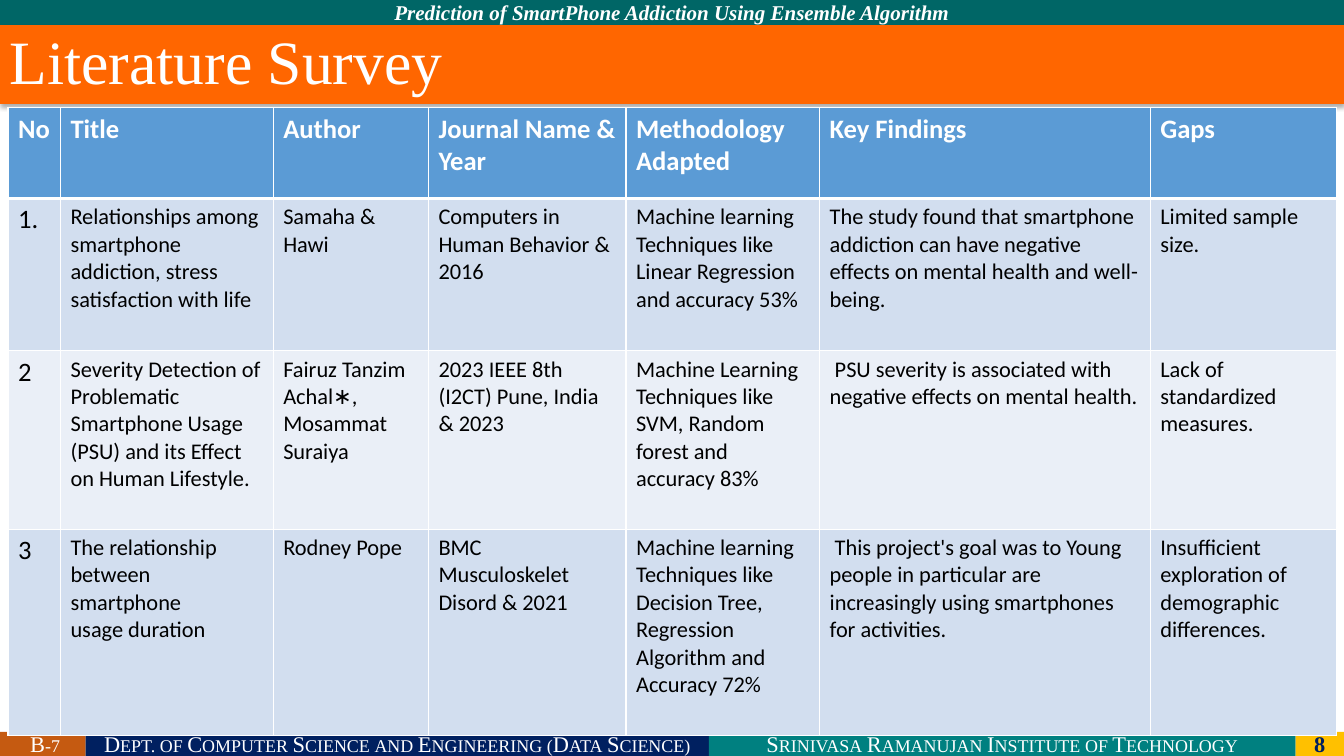
import pptx
import pptx.dml.color
import pptx.enum.shapes
import pptx.enum.text
import pptx.oxml
import pptx.oxml.ns
import pptx.util

WIDTH, HEIGHT = 13.33, 7.5
COLORS = {
    "white": "FFFFFF", "black": "000000", "navy": "002060", "teal": "008080",
    "gold": "FFC000", "pine": "006666", "rust": "C55A11", "orange": "FF6600",
    "header": "5B9BD5", "odd": "D2DEEF", "even": "EAEFF7",
}
BANNER = {"name": "Times New Roman", "size": pptx.util.Pt(15), "bold": True, "italic": True}
TITLE = {"name": "Times New Roman", "size": pptx.util.Pt(44)}
FOOTER = {"name": "Times New Roman", "size": pptx.util.Pt(16)}
HEADING = {"name": "Calibri", "size": pptx.util.Pt(19), "bold": True}
NUMBER = {"name": "Calibri", "size": pptx.util.Pt(19), "bold": False}
BODY = {"name": "Calibri", "size": pptx.util.Pt(16), "bold": False}

COLUMNS = [0.52, 2.11, 1.54, 1.96, 1.92, 3.28, 1.85]
ROWS = [0.9, 1.51, 1.77, 2.05]
SURVEY = [
    ["No", "Title", "Author", "Journal Name & Year", "Methodology Adapted",
     "Key Findings", "Gaps"],
    ["1.",
     "Relationships among smartphone addiction, stress satisfaction with life",
     "Samaha & Hawi",
     "Computers in Human Behavior &\n2016",
     "Machine learning Techniques like Linear Regression and accuracy 53%",
     "The study found that smartphone addiction can have negative effects on "
     "mental health and well-being.",
     "Limited sample size."],
    ["2",
     "Severity Detection of Problematic Smartphone Usage (PSU) and its Effect "
     "on Human Lifestyle.",
     "Fairuz Tanzim Achal∗, Mosammat Suraiya",
     "2023 IEEE 8th (I2CT) Pune, India & 2023",
     "Machine Learning Techniques like SVM, Random forest and accuracy 83%",
     " PSU severity is associated with negative effects on mental health.",
     "Lack of standardized measures."],
    ["3",
     "The relationship\nbetween smartphone\nusage duration",
     "Rodney Pope",
     "BMC Musculoskelet Disord & 2021",
     "Machine learning Techniques like Decision Tree, Regression Algorithm and "
     "Accuracy 72%",
     " This project's goal was to Young people in particular are\n"
     "increasingly using smartphones\nfor activities.",
     "Insufficient exploration of demographic differences."],
]


def rgb(color):
    return pptx.dml.color.RGBColor.from_string(COLORS[color])


def write(frame, text, style, color):
    frame.text = text
    for paragraph in frame.paragraphs:
        for run in paragraph.runs:
            for attribute, value in style.items():
                setattr(run.font, attribute, value)
            run.font.color.rgb = rgb(color)


def add_bar(slide, box, fill, text, style, color="white"):
    """Place a filled bar with one centred line of text."""
    bar = slide.shapes.add_shape(pptx.enum.shapes.MSO_SHAPE.RECTANGLE,
                                 *map(pptx.util.Inches, box))
    bar.shadow.inherit = False
    bar.fill.solid()
    bar.fill.fore_color.rgb = rgb(fill)
    bar.line.fill.background()
    write(bar.text_frame, text, style, color)
    bar.text_frame.word_wrap = True
    bar.text_frame.vertical_anchor = pptx.enum.text.MSO_ANCHOR.MIDDLE
    bar.text_frame.paragraphs[0].alignment = pptx.enum.text.PP_ALIGN.CENTER
    return bar


def add_footer(slide, left, top, height):
    sections = [
        (0.85, "rust", " B-7"),
        (6.18, "navy", "Dept. of Computer Science and Engineering (Data Science)"),
        (5.82, "teal", "Srinivasa Ramanujan Institute of Technology"),
    ]
    for width, fill, text in sections:
        section = add_bar(slide, (left, top, width, height), fill, text, FOOTER)
        run = section.text_frame.paragraphs[0].runs[0]
        run.font._element.set("cap", "small")
        left += width
    add_bar(slide, (left, top, WIDTH - left, height), "gold", "8",
            FOOTER | {"bold": True}, "navy")


def add_title(slide, box):
    title = add_bar(slide, box, "orange", "Literature Survey", TITLE)
    paragraph = title.text_frame.paragraphs[0]
    paragraph.alignment = pptx.enum.text.PP_ALIGN.JUSTIFY
    paragraph.line_spacing = 0.9
    effects = title._element.spPr.find(pptx.oxml.ns.qn("a:effectLst"))
    effects.append(pptx.oxml.parse_xml(
        f'<a:outerShdw {pptx.oxml.ns.nsdecls("a")} blurRad="{pptx.util.Pt(3.5)}" '
        f'dist="{pptx.util.Pt(2.2)}" dir="5400000" rotWithShape="0">'
        f'<a:srgbClr val="{COLORS["black"]}"><a:alpha val="32000"/></a:srgbClr>'
        '</a:outerShdw>'))


def add_borders(cell, widths):
    """Draw white cell edges; widths maps L, R, T and B to points."""
    properties = cell._tc.get_or_add_tcPr()
    for side, width in widths.items():
        properties.append(pptx.oxml.parse_xml(
            f'<a:ln{side} {pptx.oxml.ns.nsdecls("a")} w="{pptx.util.Pt(width)}">'
            f'<a:solidFill><a:srgbClr val="{COLORS["white"]}"/></a:solidFill>'
            f'</a:ln{side}>'))


def add_survey(slide, left, top):
    box = (left, top, sum(COLUMNS), sum(ROWS))
    survey = slide.shapes.add_table(len(ROWS), len(COLUMNS),
                                    *map(pptx.util.Inches, box)).table
    for column, width in zip(survey.columns, COLUMNS):
        column.width = pptx.util.Inches(width)
    for row, height in zip(survey.rows, ROWS):
        row.height = pptx.util.Inches(height)
    for r, entries in enumerate(SURVEY):
        fill = "header" if r == 0 else ("even", "odd")[r % 2]
        for c, text in enumerate(entries):
            cell = survey.cell(r, c)
            style = HEADING if r == 0 else NUMBER if c == 0 else BODY
            write(cell.text_frame, text, style, "white" if r == 0 else "black")
            add_borders(cell, {"L": 1, "R": 1, "T": 3 if r == 1 else 1,
                               "B": 3 if r == 0 else 1})
            cell.fill.solid()
            cell.fill.fore_color.rgb = rgb(fill)


def main():
    deck = pptx.Presentation()
    deck.slide_width = pptx.util.Inches(WIDTH)
    deck.slide_height = pptx.util.Inches(HEIGHT)
    slide = deck.slides.add_slide(deck.slide_layouts[6])
    add_footer(slide, 0, HEIGHT - 0.24, 0.24)
    add_bar(slide, (0, 0, WIDTH, 0.25), "pine",
            "Prediction of SmartPhone Addiction Using Ensemble Algorithm", BANNER)
    add_title(slide, (0, 0.25, WIDTH, 0.78))
    add_survey(slide, 0.08, 1.07)
    deck.save("out.pptx")


if __name__ == "__main__":
    main()
